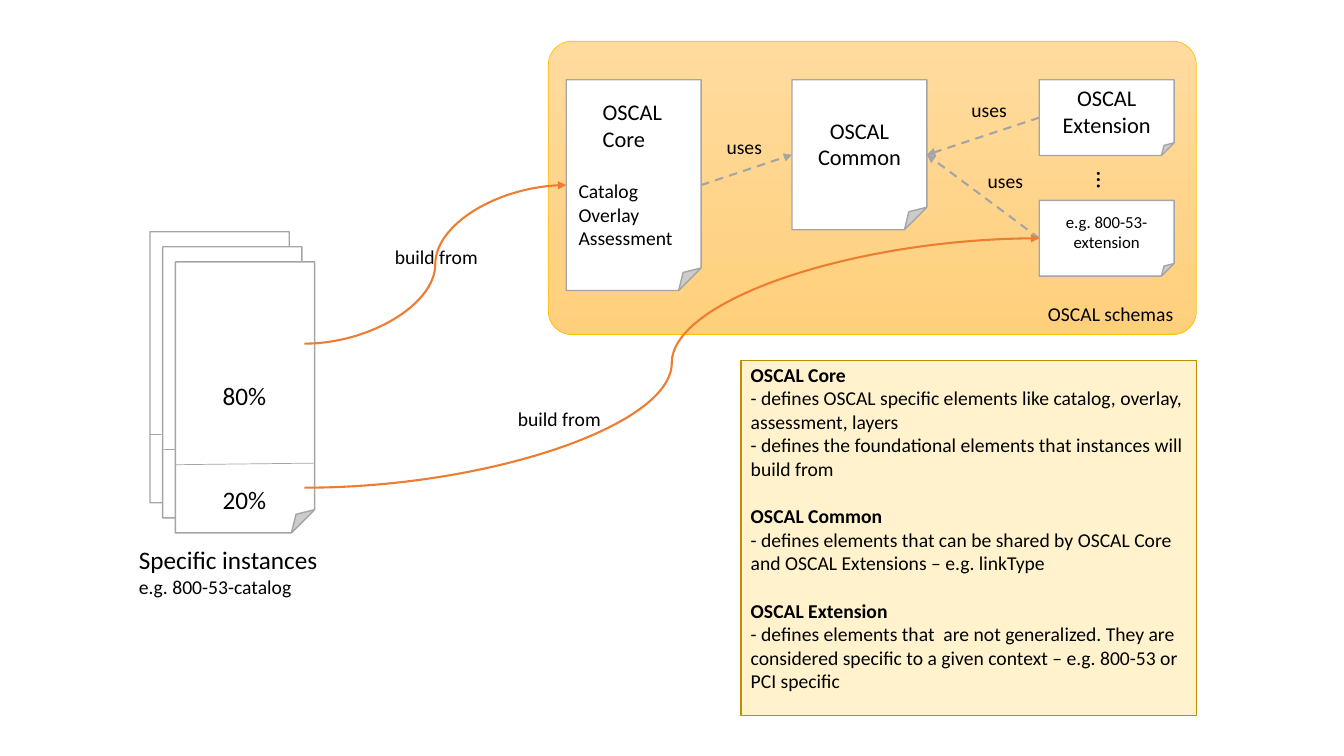
import pptx
import pptx.util
import pptx.dml.color
import pptx.enum.dml
import pptx.enum.shapes
import pptx.enum.text
import pptx.oxml.ns
import lxml.etree

Cm = pptx.util.Cm
Pt = pptx.util.Pt
Kind = pptx.enum.shapes.MSO_SHAPE
Link = pptx.enum.shapes.MSO_CONNECTOR
Align = pptx.enum.text.PP_ALIGN
Anchor = pptx.enum.text.MSO_ANCHOR

COLORS = {
    "white": "FFFFFF", "black": "000000", "gray": "A5A5A5",
    "orange": "ED7D31", "gold": "FFC000", "light": "FFDB9E",
    "deep": "FFD07C", "cream": "FFF2CC", "brown": "BD8E00",
}


def color(name):
    return pptx.dml.color.RGBColor.from_string(COLORS[name])


def write(shape, *lines, size=14, bold=False, align=Align.LEFT, gap=0):
    frame = shape.text_frame
    for i, line in enumerate(lines):
        words, form = line if isinstance(line, tuple) else (line, {})
        para = frame.paragraphs[0] if i == 0 else frame.add_paragraph()
        para.alignment = align
        para.space_before = Pt(form.get("gap", gap))
        run = para.add_run()
        run.text = words
        run.font.name = "Calibri"
        run.font.size = Pt(form.get("size", size))
        run.font.bold = form.get("bold", bold)
        run.font.color.rgb = color("black")


def label(slide, x, y, w, h, *lines, **form):
    box = slide.shapes.add_textbox(Cm(x), Cm(y), Cm(w), Cm(h))
    box.text_frame.word_wrap = False
    write(box, *lines, **form)
    return box


def block(slide, kind, x, y, w, h, fill="white", line="gray", width=1):
    shape = slide.shapes.add_shape(kind, Cm(x), Cm(y), Cm(w), Cm(h))
    shape.shadow.inherit = False
    shape.fill.solid()
    shape.fill.fore_color.rgb = color(fill)
    shape.line.color.rgb = color(line)
    shape.line.width = Pt(width)
    shape.text_frame.word_wrap = True
    shape.text_frame.vertical_anchor = Anchor.MIDDLE
    return shape


def stroke(slide, kind, start, end, tint="gray", width=1.5, dash=False, head=True):
    line = slide.shapes.add_connector(kind, *map(Cm, start + end))
    line.line.color.rgb = color(tint)
    line.line.width = Pt(width)
    if dash:
        line.line.dash_style = pptx.enum.dml.MSO_LINE.DASH
    qn = pptx.oxml.ns.qn
    if head:
        lxml.etree.SubElement(line.line._get_or_add_ln(), qn("a:tailEnd"), type="triangle")
    lxml.etree.SubElement(line._element.spPr, qn("a:effectLst"))
    return line


def uses(slide, first, side, last, goal):
    line = stroke(slide, Link.STRAIGHT, (0, 0), (1, 1), dash=True)
    line.begin_connect(first, side)
    line.end_connect(last, goal)


def build(slide, start, goal, x, y):
    line = stroke(slide, Link.CURVE, start, (goal.left.cm, goal.top.cm), "orange")
    line.end_connect(goal, 1)
    label(slide, x, y, 2.62, 0.86, "build from")


def stack(slide, x, y):
    w, h = 3.51, 6.83
    for i in range(3):
        left, top = x + 0.32 * i, y + 0.38 * i
        block(slide, Kind.FOLDED_CORNER, left, top, w, h)
        stroke(slide, Link.STRAIGHT, (left, top + 5.11), (left + w, top + 5.07),
               width=0.5, head=False)
    label(slide, x + 1.58, y + 3.61, 1.63, 1.02, "80%", size=18)
    label(slide, x + 1.58, y + 6.23, 1.63, 1.02, "20%", size=18)
    label(slide, x - 0.53, y + 7.75, 5.05, 1.63,
          ("Specific instances", {"size": 18}), "e.g. 800-53-catalog")
    return (x + 3.89, y + 2.82), (x + 3.89, y + 6.45)


def schemas(slide, x, y, w, h):
    panel = block(slide, Kind.ROUNDED_RECTANGLE, x, y, w, h, line="gold", width=0.5)
    panel.adjustments[0] = 0.08
    panel.fill.gradient()
    panel.fill.gradient_angle = 270
    for stop, name, place in zip(panel.fill.gradient_stops, ("light", "deep"), (0, 1)):
        stop.color.rgb = color(name)
        stop.position = place

    pages = []
    for dx, dy, high, words, size in (
        (0.45, 0.97, 5.31, "", 16),
        (6.14, 0.97, 3.78, "OSCAL Common", 16),
        (12.37, 0.97, 1.91, "OSCAL Extension", 16),
        (12.37, 4.01, 1.91, "e.g. 800-53-extension", 12),
    ):
        page = block(slide, Kind.FOLDED_CORNER, x + dx, y + dy, 3.4, high)
        if words:
            write(page, words, size=size, align=Align.CENTER)
        pages.append(page)
    core, common, top, low = pages

    uses(slide, core, 3, common, 1)
    uses(slide, top, 1, common, 3)
    uses(slide, low, 1, common, 3)
    for dx, dy in ((4.24, 2.24), (10.41, 1.3), (10.82, 3.1)):
        label(slide, x + dx, y + dy, 1.42, 0.86, "uses")
    label(slide, x + 13.59, y + 3, 0.97, 1.02, "…", size=18).rotation = 90
    label(slide, x + 12.34, y + 6.45, 3.71, 0.86, "OSCAL schemas")
    label(slide, x + 1.12, y + 1.3, 2.16, 1.63, "OSCAL", "Core", size=16)
    label(slide, x + 0.51, y + 3.35, 2.92, 2.06, "Catalog", "Overlay", "Assessment")
    return core, low


def notes(slide, x, y, w, h):
    box = block(slide, Kind.RECTANGLE, x, y, w, h, "cream", "brown")
    box.text_frame.vertical_anchor = Anchor.TOP
    box.text_frame.margin_top = Cm(0.05)
    head = {"bold": True, "gap": 17}
    write(
        box,
        ("OSCAL Core", {"bold": True}),
        "- defines OSCAL specific elements like catalog, overlay, assessment, layers",
        "- defines the foundational elements that instances will build from",
        ("OSCAL Common", head),
        "- defines elements that can be shared by OSCAL Core and OSCAL Extensions – e.g. linkType",
        ("OSCAL Extension", head),
        "- defines elements that  are not generalized. They are considered specific "
        "to a given context – e.g. 800-53 or PCI specific",
    )


def main():
    deck = pptx.Presentation()
    deck.slide_width, deck.slide_height = Cm(33.87), Cm(19.05)
    slide = deck.slides.add_slide(deck.slide_layouts[6])
    upper, lower = stack(slide, 3.78, 5.84)
    core, low = schemas(slide, 13.82, 1.04, 16.33, 7.39)
    build(slide, upper, core, 9.7, 6.05)
    build(slide, lower, low, 12.8, 10.13)
    notes(slide, 18.67, 9.09, 11.48, 8.94)
    deck.save("out.pptx")


if __name__ == "__main__":
    main()
